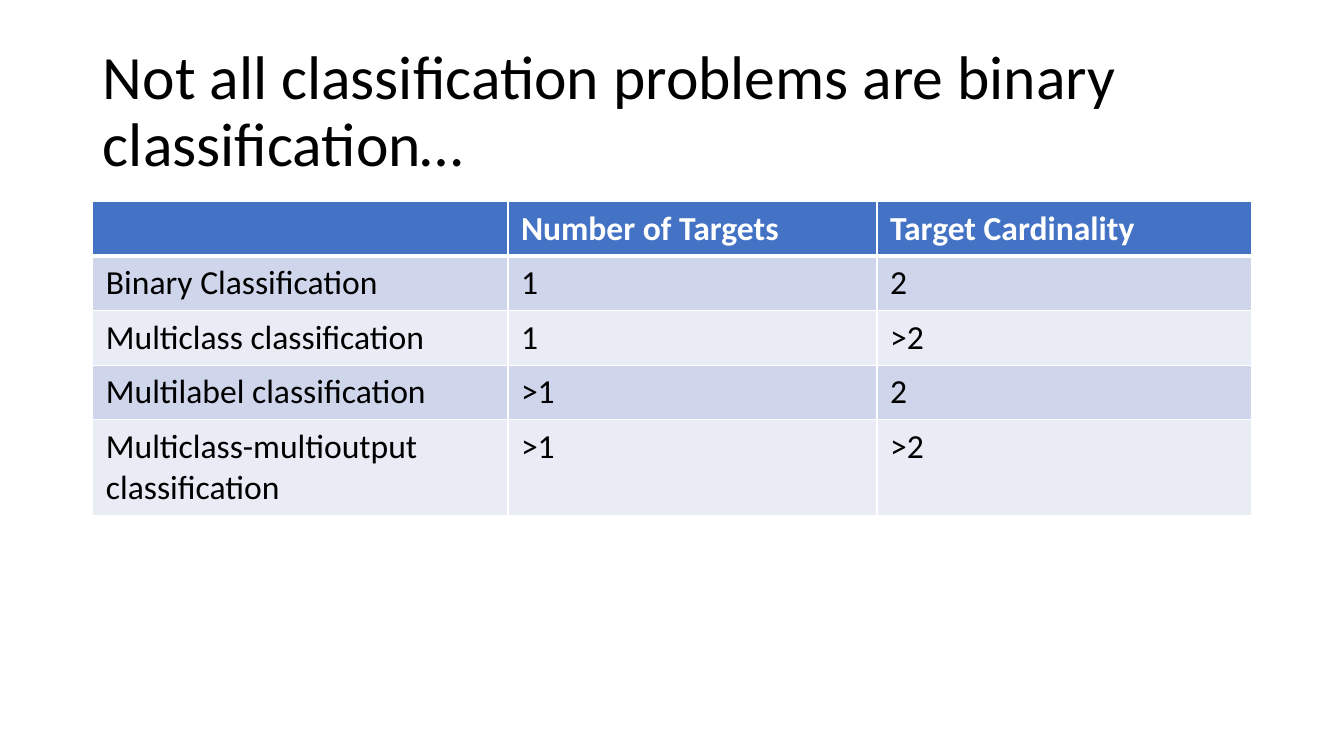
"""Build a slide comparing the kinds of classification problem in a table."""
from dataclasses import dataclass

from lxml import etree
from pptx import Presentation
from pptx.dml.color import RGBColor
from pptx.enum import text as t
from pptx.oxml import ns
from pptx.slide import Slide
from pptx.table import _Cell
from pptx.text.text import _Paragraph
from pptx.util import Cm, Pt


@dataclass(frozen=True)
class Theme:
    font: str = "Calibri"
    title_size: int = 44
    table_size: int = 24
    ink: str = "000000"
    paper: str = "FFFFFF"
    header: str = "4472C4"
    bands: tuple[str, str] = ("CFD5EA", "E9EBF5")
    thin_rule: float = 1
    thick_rule: float = 3


@dataclass(frozen=True)
class Problem:
    kind: str
    targets: str
    cardinality: str
    height: float = 1.37

    def entries(self) -> tuple[str, str, str]:
        return self.kind, self.targets, self.cardinality


THEME = Theme()
LEFT, WIDTH = 2.34, 29.21
COLUMN_WIDTHS = (10.46, 9.3, 9.45)
HEADINGS = Problem("", "Number of Targets", "Target Cardinality")
PROBLEMS = (
    Problem("Binary Classification", "1", "2"),
    Problem("Multiclass classification", "1", ">2"),
    Problem("Multilabel classification", ">1", "2"),
    Problem("Multiclass-multioutput classification", ">1", ">2", 2.37),
)


def add_run(paragraph: _Paragraph, wording: str, size: int, color: str, bold: bool = False) -> None:
    run = paragraph.add_run()
    run.text = wording
    run.font.name = THEME.font
    run.font.size = Pt(size)
    run.font.bold = bold
    run.font.color.rgb = RGBColor.from_string(color)


def add_rule(cell: _Cell, side: str, width: float) -> None:
    rule = etree.SubElement(cell._tc.get_or_add_tcPr(), ns.qn(f"a:ln{side}"), w=str(Pt(width)))
    solid = etree.SubElement(rule, ns.qn("a:solidFill"))
    etree.SubElement(solid, ns.qn("a:srgbClr"), val=THEME.paper)


def fill_cell(cell: _Cell, wording: str, row: int) -> None:
    is_header = row == 0
    rules = {
        "L": THEME.thin_rule,
        "R": THEME.thin_rule,
        "T": THEME.thick_rule if row == 1 else THEME.thin_rule,
        "B": THEME.thick_rule if is_header else THEME.thin_rule,
    }
    for side, width in rules.items():
        add_rule(cell, side, width)
    cell.fill.solid()
    background = THEME.header if is_header else THEME.bands[(row - 1) % 2]
    cell.fill.fore_color.rgb = RGBColor.from_string(background)
    cell.margin_left = cell.margin_right = Cm(0.33)
    cell.margin_top = cell.margin_bottom = Cm(0.17)
    if wording:
        color = THEME.paper if is_header else THEME.ink
        add_run(cell.text_frame.paragraphs[0], wording, THEME.table_size, color, is_header)


def write_title(slide: Slide, wording: str) -> None:
    title = slide.shapes.title
    title.left, title.top, title.width, title.height = Cm(LEFT), Cm(1.01), Cm(WIDTH), Cm(3.68)
    frame = title.text_frame
    frame.word_wrap = True
    frame.auto_size = t.MSO_AUTO_SIZE.NONE
    frame.vertical_anchor = t.MSO_ANCHOR.MIDDLE
    paragraph = frame.paragraphs[0]
    paragraph.alignment = t.PP_ALIGN.LEFT
    paragraph.line_spacing = 0.9
    add_run(paragraph, wording, THEME.title_size, THEME.ink)


def add_problem_table(slide: Slide) -> None:
    lines = (HEADINGS, *PROBLEMS)
    height = sum(line.height for line in lines)
    table = slide.shapes.add_table(
        len(lines), len(COLUMN_WIDTHS), Cm(LEFT), Cm(5.08), Cm(WIDTH), Cm(height)
    ).table
    for column, width in zip(table.columns, COLUMN_WIDTHS):
        column.width = Cm(width)
    for row, line in enumerate(lines):
        table.rows[row].height = Cm(line.height)
        for column, entry in enumerate(line.entries()):
            fill_cell(table.cell(row, column), entry, row)


def main() -> None:
    deck = Presentation()
    deck.slide_width, deck.slide_height = Cm(33.87), Cm(19.05)
    slide = deck.slides.add_slide(deck.slide_layouts.get_by_name("Title Only"))
    write_title(slide, "Not all classification problems are binary classification…")
    add_problem_table(slide)
    deck.save("out.pptx")


if __name__ == "__main__":
    main()
